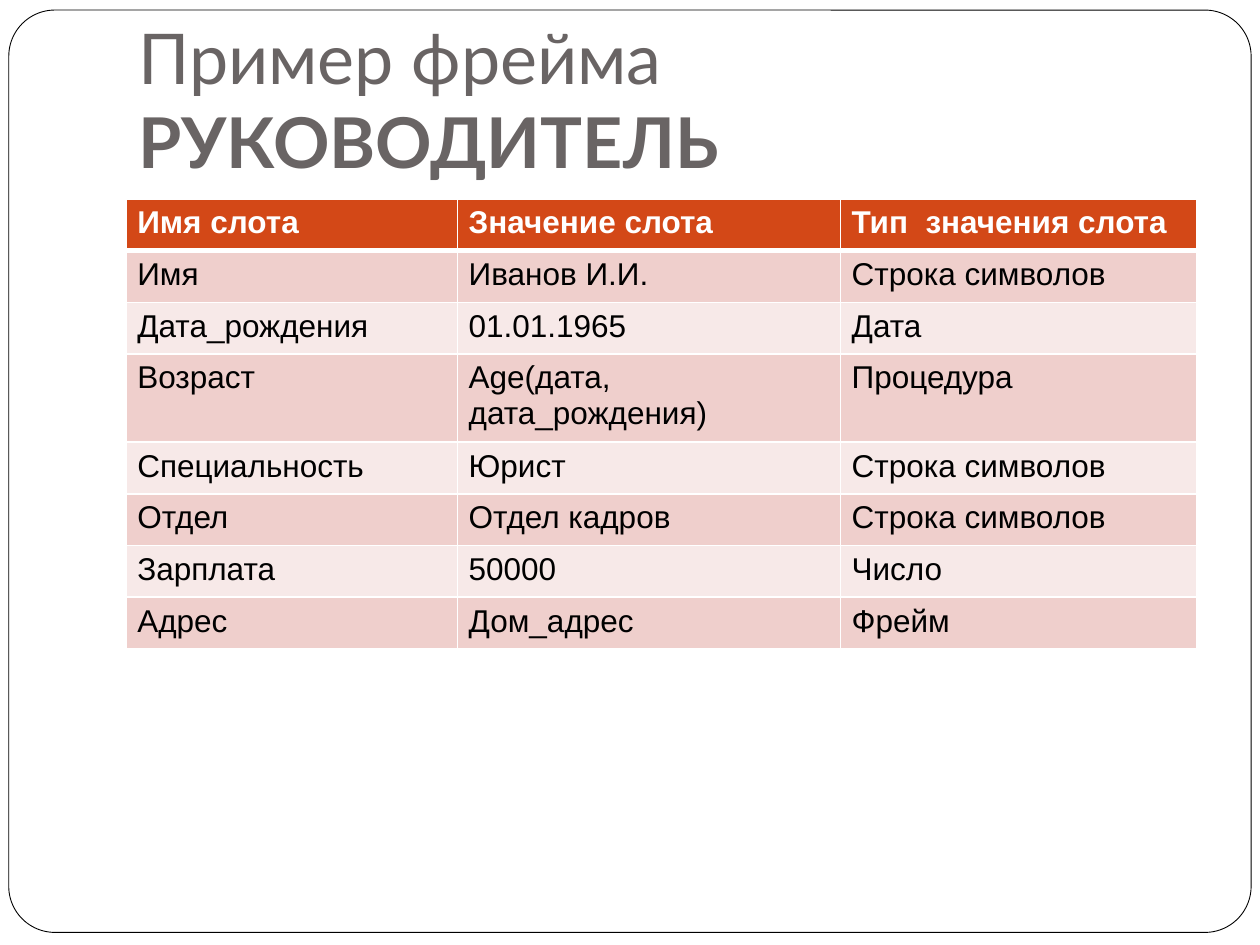
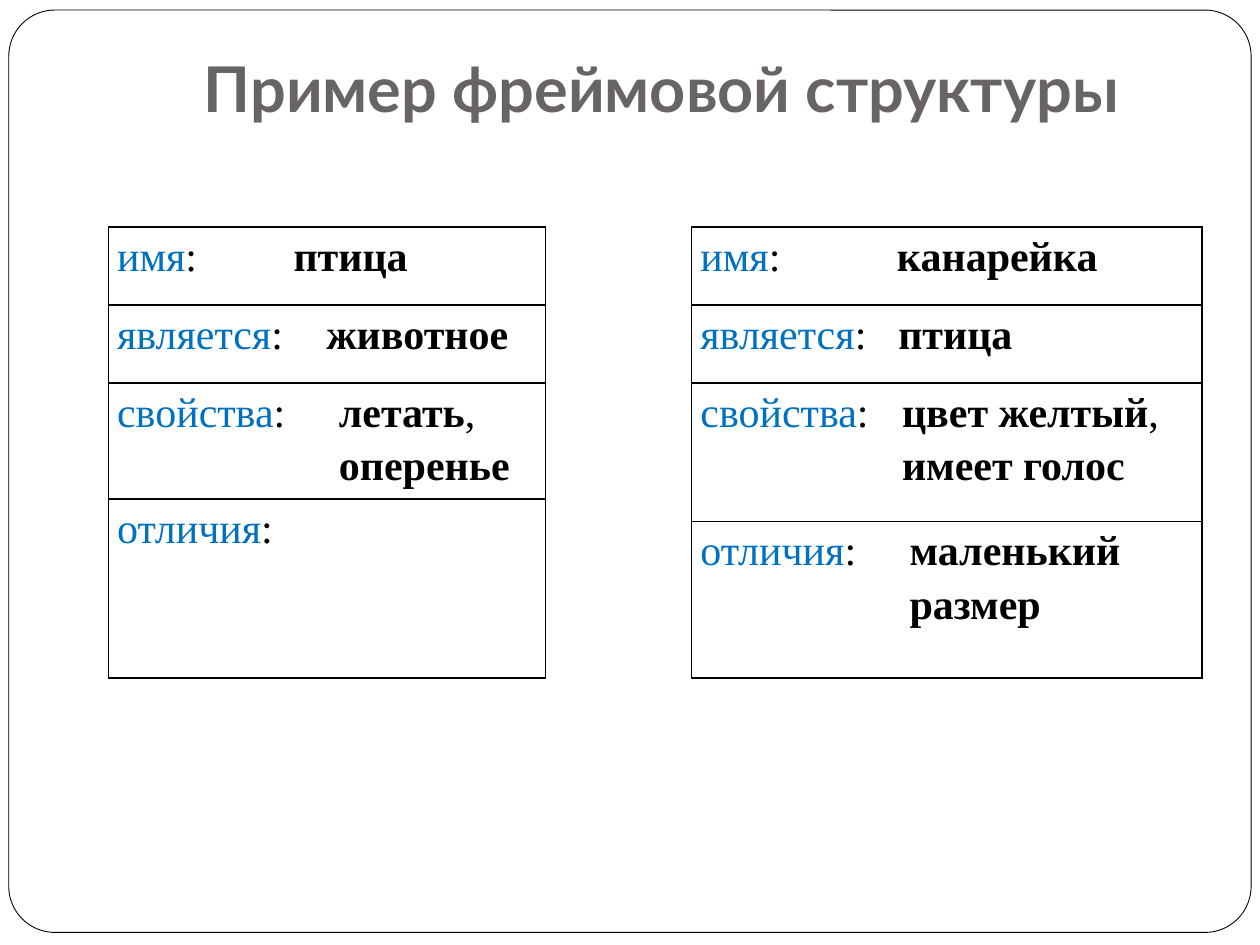
"""Build two slides on frames: a sample frame and a frame structure."""
from dataclasses import dataclass

from lxml import etree
from pptx import Presentation
from pptx.dml.color import RGBColor
from pptx.enum import shapes, text
from pptx.oxml import ns
from pptx.util import Inches, Pt


@dataclass(frozen=True)
class Theme:
    paper: str = "FFFFFF"
    ink: str = "000000"
    title: str = "696464"
    header: str = "D34817"
    bands: tuple = ("EFCFCC", "F7E9E8")
    slot: str = "0070C0"
    title_font: str = "Lato"
    table_font: str = "Arial"
    frame_font: str = "Times New Roman"
    table_size: int = 18
    frame_size: int = 24


THEME = Theme()

MANAGER_TITLE = [("Пример фрейма ", False), ("РУКОВОДИТЕЛЬ", True)]
MANAGER_SLOTS = [
    ("Имя слота", "Значение слота", "Тип  значения слота"),
    ("Имя", "Иванов И.И.", "Строка символов"),
    ("Дата_рождения", "01.01.1965", "Дата"),
    ("Возраст", "Age(дата, дата_рождения)", "Процедура"),
    ("Специальность", "Юрист", "Строка символов"),
    ("Отдел", "Отдел кадров", "Строка символов"),
    ("Зарплата", "50000", "Число"),
    ("Адрес", "Дом_адрес", "Фрейм"),
]
MANAGER_COLUMNS = [2.63, 3.04, 2.83]
MANAGER_ROWS = [0.7 if row[0] == "Возраст" else 0.41 for row in MANAGER_SLOTS]

STRUCTURE_TITLE = [("Пример фреймовой структуры", True)]
STRUCTURE_COLUMNS = [3.47, 1.16, 4.05]
STRUCTURE_ROWS = [0.62, 0.62, 0.92, 0.18, 1.24]
GAP_COLUMN = 1
# column: (first row, last row, slot, value indent, value lines)
FRAMES = {
    0: [
        (0, 0, "имя", 1.4, ["птица"]),
        (1, 1, "является", 1.66, ["животное"]),
        (2, 2, "свойства", 1.76, ["летать,", "оперенье"]),
        (3, 4, "отличия", 0, []),
    ],
    2: [
        (0, 0, "имя", 1.56, ["канарейка"]),
        (1, 1, "является", 1.57, ["птица"]),
        (2, 3, "свойства", 1.6, ["цвет желтый,", "имеет голос"]),
        (4, 4, "отличия", 1.66, ["маленький", "размер"]),
    ],
}


def rgb(color):
    return RGBColor.from_string(color)


def style(font, name, size, color, bold=None):
    font.name, font.size, font.bold = name, Pt(size), bold
    font.color.rgb = rgb(color)


def add_run(paragraph, words, bold=None, color=None):
    run = paragraph.add_run()
    run.text = words
    if bold is not None:
        run.font.bold = bold
    if color:
        run.font.color.rgb = rgb(color)


def add_slide(deck, title, height, size, align):
    slide = deck.slides.add_slide(deck.slide_layouts[6])
    border = slide.shapes.add_shape(
        shapes.MSO_SHAPE.ROUNDED_RECTANGLE,
        Inches(0.07), Inches(0.08), Inches(9.86), Inches(7.32))
    border.adjustments[0] = 0.05
    border.shadow.inherit = False
    border.fill.solid()
    border.fill.fore_color.rgb = rgb(THEME.paper)
    border.line.color.rgb = rgb(THEME.ink)
    border.line.width = Pt(0.5)

    heading = slide.shapes.add_textbox(
        Inches(1), Inches(0.3), Inches(8.5), Inches(height)).text_frame
    heading.word_wrap = True
    heading.vertical_anchor = text.MSO_ANCHOR.BOTTOM
    heading.margin_bottom = Inches(0.1)
    paragraph = heading.paragraphs[0]
    paragraph.alignment = align
    style(paragraph.font, THEME.title_font, size, THEME.title)
    for words, bold in title:
        add_run(paragraph, words, bold)
    return slide


def add_grid(slide, left, top, columns, rows):
    grid = slide.shapes.add_table(
        len(rows), len(columns), Inches(left), Inches(top),
        Inches(sum(columns)), Inches(sum(rows))).table
    grid.first_row = grid.horz_banding = False
    for column, width in zip(grid.columns, columns):
        column.width = Inches(width)
    for row, height in zip(grid.rows, rows):
        row.height = Inches(height)
    return grid


def set_borders(cell, color, **widths):
    properties = cell._tc.get_or_add_tcPr()
    for position, side in enumerate("LRTB"):
        width = widths.get(side, 1)
        line = etree.Element(ns.qn(f"a:ln{side}"), w=str(Pt(width)))
        if width:
            fill = etree.SubElement(line, ns.qn("a:solidFill"))
            etree.SubElement(fill, ns.qn("a:srgbClr"), val=color)
        else:
            etree.SubElement(line, ns.qn("a:noFill"))
        properties.insert(position, line)


def set_tab(paragraph, indent):
    tabs = etree.Element(ns.qn("a:tabLst"))
    etree.SubElement(tabs, ns.qn("a:tab"), pos=str(Inches(indent)), algn="l")
    properties = paragraph._p.get_or_add_pPr()
    properties.find(ns.qn("a:defRPr")).addprevious(tabs)


def add_value(paragraph, value):
    add_run(paragraph, value.rstrip(","), True)
    if value.endswith(","):
        add_run(paragraph, ",")


def fill_slot(cell, slot, indent, values):
    frame = cell.text_frame
    for number in range(max(1, len(values))):
        paragraph = frame.add_paragraph() if number else frame.paragraphs[0]
        paragraph.line_spacing = 1.15
        style(paragraph.font, THEME.frame_font, THEME.frame_size, THEME.ink)
        if number:
            paragraph._p.get_or_add_pPr().set("marL", str(Inches(indent)))
        else:
            add_run(paragraph, slot, color=THEME.slot)
            add_run(paragraph, ":\t" if values else ":")
            if values:
                set_tab(paragraph, indent)
        if values:
            add_value(paragraph, values[number])


def build_manager(deck):
    slide = add_slide(deck, MANAGER_TITLE, 1.25, 40, text.PP_ALIGN.LEFT)
    grid = add_grid(slide, 1, 1.58, MANAGER_COLUMNS, MANAGER_ROWS)
    for r, row in enumerate(MANAGER_SLOTS):
        is_header = r == 0
        for c, words in enumerate(row):
            cell = grid.cell(r, c)
            cell.text = words
            cell.margin_left = cell.margin_right = Inches(0.09)
            cell.fill.solid()
            cell.fill.fore_color.rgb = rgb(
                THEME.header if is_header else THEME.bands[(r - 1) % 2])
            style(cell.text_frame.paragraphs[0].font, THEME.table_font,
                  THEME.table_size,
                  THEME.paper if is_header else THEME.ink, is_header)
            set_borders(cell, THEME.paper, B=3 if is_header else 1,
                        T=3 if r == 1 else 1)


def build_structure(deck):
    slide = add_slide(deck, STRUCTURE_TITLE, 0.79, 36, text.PP_ALIGN.CENTER)
    grid = add_grid(slide, 0.86, 1.8, STRUCTURE_COLUMNS, STRUCTURE_ROWS)
    for r in range(len(STRUCTURE_ROWS)):
        for c in range(len(STRUCTURE_COLUMNS)):
            cell = grid.cell(r, c)
            cell.fill.background()
            cell.margin_left = cell.margin_right = Inches(0.07)
            cell.margin_top = cell.margin_bottom = 0
            edge = 0 if c == GAP_COLUMN else 1
            set_borders(cell, THEME.ink, T=edge, B=edge)
    last_row = len(STRUCTURE_ROWS) - 1
    grid.cell(0, GAP_COLUMN).merge(grid.cell(last_row, GAP_COLUMN))
    for column, slots in FRAMES.items():
        for first, last, slot, indent, values in slots:
            cell = grid.cell(first, column)
            if last > first:
                cell.merge(grid.cell(last, column))
            fill_slot(cell, slot, indent, values)


def main():
    deck = Presentation()
    deck.slide_width, deck.slide_height = Inches(10), Inches(7.5)
    build_manager(deck)
    build_structure(deck)
    deck.save("out.pptx")


if __name__ == "__main__":
    main()
